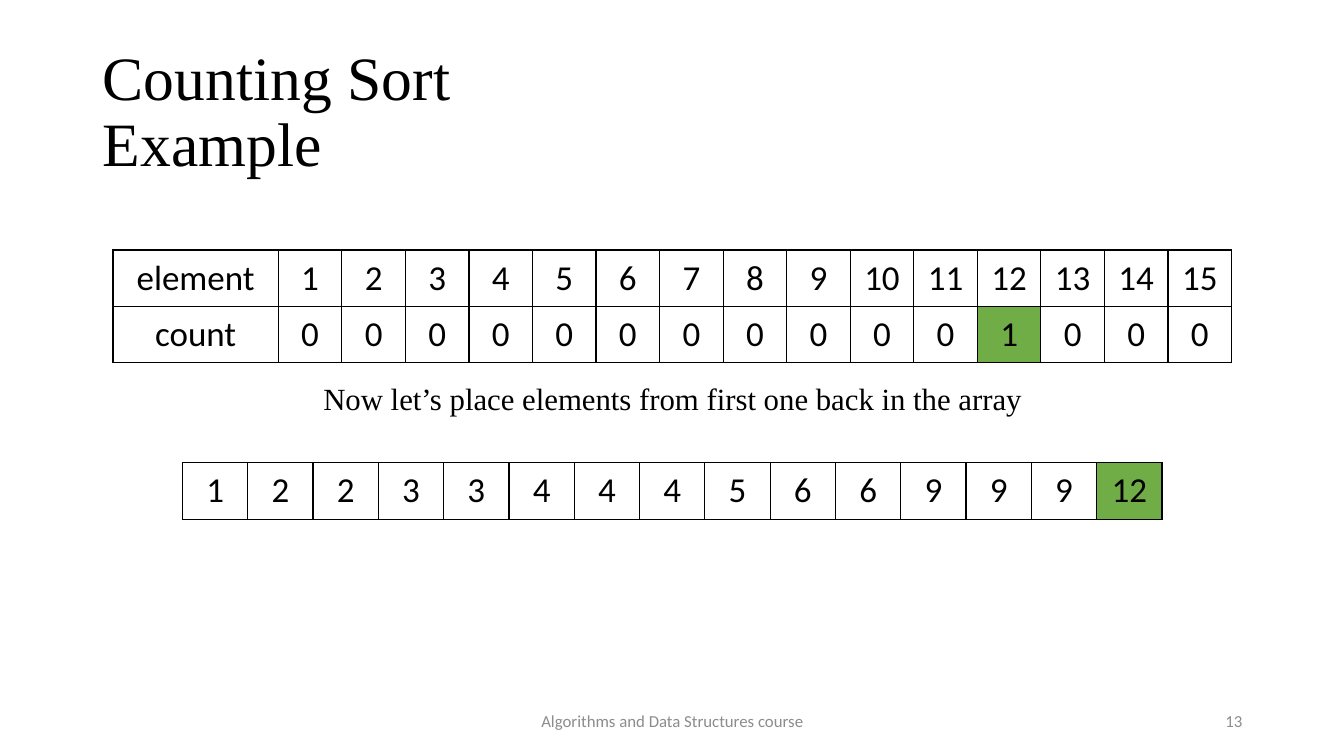
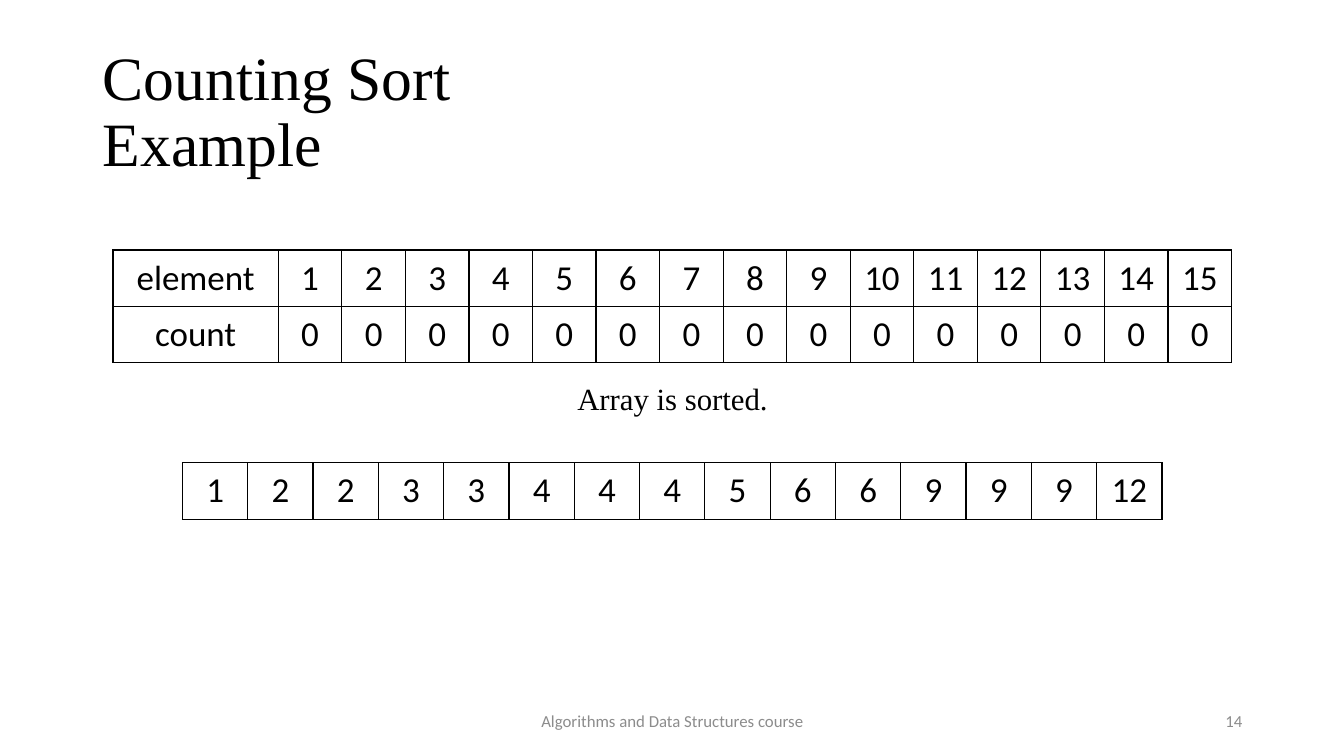
from lxml.etree import SubElement
from pptx import Presentation
from pptx.dml.color import RGBColor
from pptx.enum.text import MSO_ANCHOR as Anchor, MSO_AUTO_SIZE as AutoSize, PP_ALIGN as Align
from pptx.oxml.ns import qn
from pptx.util import Inches, Pt

BLACK = RGBColor(0x00, 0x00, 0x00)
WHITE = RGBColor(0xFF, 0xFF, 0xFF)
GREEN = RGBColor(0x70, 0xAD, 0x47)
GRAY = RGBColor(0x8C, 0x8C, 0x8C)
SERIF = "Times New Roman"
SANS = "Calibri"

TITLE = {"name": SERIF, "size": Pt(44), "bold": False, "color": BLACK}
CAPTION = {"name": SERIF, "size": Pt(22), "bold": False, "color": BLACK}
CELL = {"name": SANS, "size": Pt(25), "bold": False, "color": BLACK}
FOOTER = {"name": SANS, "size": Pt(12), "bold": False, "color": GRAY}

CELL_FRAME = {
    "margin_left": Inches(0.13), "margin_right": Inches(0.13),
    "margin_top": Inches(0.06), "margin_bottom": Inches(0.06),
    "vertical_anchor": Anchor.MIDDLE,
}
ROW_HEIGHT = Inches(0.56)
COURSE = "Algorithms and Data Structures course"
ELEMENTS = list(range(1, 16))
SORTED_ARRAY = [1, 2, 2, 3, 3, 4, 4, 4, 5, 6, 6, 9, 9, 9, 12]

STEPS = [
    {"number": 13, "caption": "Now let’s place elements from first one back in the array", "placed": 12},
    {"number": 14, "caption": "Array is sorted.", "placed": None},
]


def write(box, place, lines, style, align, anchor=Anchor.MIDDLE, line_spacing=1.0):
    box.left, box.top, box.width, box.height = [Inches(length) for length in place]
    frame = box.text_frame
    frame.text = "\n".join(lines)
    for key, value in {"word_wrap": True, "auto_size": AutoSize.NONE, "vertical_anchor": anchor}.items():
        setattr(frame, key, value)
    for para in frame.paragraphs:
        layout = {"alignment": align, "line_spacing": line_spacing, "space_before": Pt(0)}
        for key, value in layout.items():
            setattr(para, key, value)
        for span in para.runs:
            for key in ("name", "size", "bold"):
                setattr(span.font, key, style[key])
            span.font.color.rgb = style["color"]


def add_grid(page, left, top, widths, rows, marked):
    grid = page.shapes.add_table(
        len(rows), len(widths), Inches(left), Inches(top), sum(widths), ROW_HEIGHT * len(rows)
    ).table
    grid.first_row = grid.horz_banding = False
    for column, width in zip(grid.columns, widths):
        column.width = width
    for row_index, values in enumerate(rows):
        grid.rows[row_index].height = ROW_HEIGHT
        for column_index, value in enumerate(values):
            cell = grid.cell(row_index, column_index)
            for key, setting in CELL_FRAME.items():
                setattr(cell, key, setting)
            para = cell.text_frame.paragraphs[0]
            para.alignment = Align.CENTER
            span = para.add_run()
            span.text = str(value)
            for key in ("name", "size", "bold"):
                setattr(span.font, key, CELL[key])
            span.font.color.rgb = CELL["color"]
            properties = cell._tc.get_or_add_tcPr()
            for side in ("a:lnL", "a:lnR", "a:lnT", "a:lnB"):
                border = SubElement(properties, qn(side), w=str(Pt(1)))
                fill = SubElement(border, qn("a:solidFill"))
                SubElement(fill, qn("a:srgbClr"), val=str(BLACK))
            cell.fill.solid()
            cell.fill.fore_color.rgb = GREEN if (row_index, column_index) == marked else WHITE


deck = Presentation()
deck.slide_width, deck.slide_height = Inches(13.33), Inches(7.5)

array_widths = [Inches(9.72) // len(SORTED_ARRAY)] * len(SORTED_ARRAY)
count_widths = [Inches(1.64)] + [Inches(9.46) // len(ELEMENTS)] * len(ELEMENTS)

for step in STEPS:
    page = deck.slides.add_slide(deck.slide_layouts[1])
    title, caption = page.placeholders
    write(title, (0.92, 0.4, 11.5, 1.45), ["Counting Sort", "Example"], TITLE, Align.LEFT, line_spacing=0.9)
    write(caption, (0.92, 3.76, 11.5, 0.51), [step["caption"]], CAPTION, Align.CENTER, Anchor.TOP, 0.9)
    bullet_format = caption.text_frame.paragraphs[0]._p.get_or_add_pPr()
    bullet_format.set("marL", "0")
    bullet_format.set("indent", "0")
    SubElement(bullet_format, qn("a:buNone"))

    for place, text, align in (
        ((4.42, 6.95, 4.5, 0.4), COURSE, Align.CENTER),
        ((9.42, 6.95, 3, 0.4), str(step["number"]), Align.RIGHT),
    ):
        write(page.shapes.add_textbox(0, 0, 0, 0), place, [text], FOOTER, align)

    placed = step["placed"]
    counts = [int(element == placed) for element in ELEMENTS]
    array_mark = (0, SORTED_ARRAY.index(placed)) if placed else None
    count_mark = (1, placed) if placed else None
    add_grid(page, 1.81, 4.59, array_widths, [SORTED_ARRAY], array_mark)
    add_grid(page, 1.12, 2.48, count_widths, [["element"] + ELEMENTS, ["count"] + counts], count_mark)

deck.save("out.pptx")
